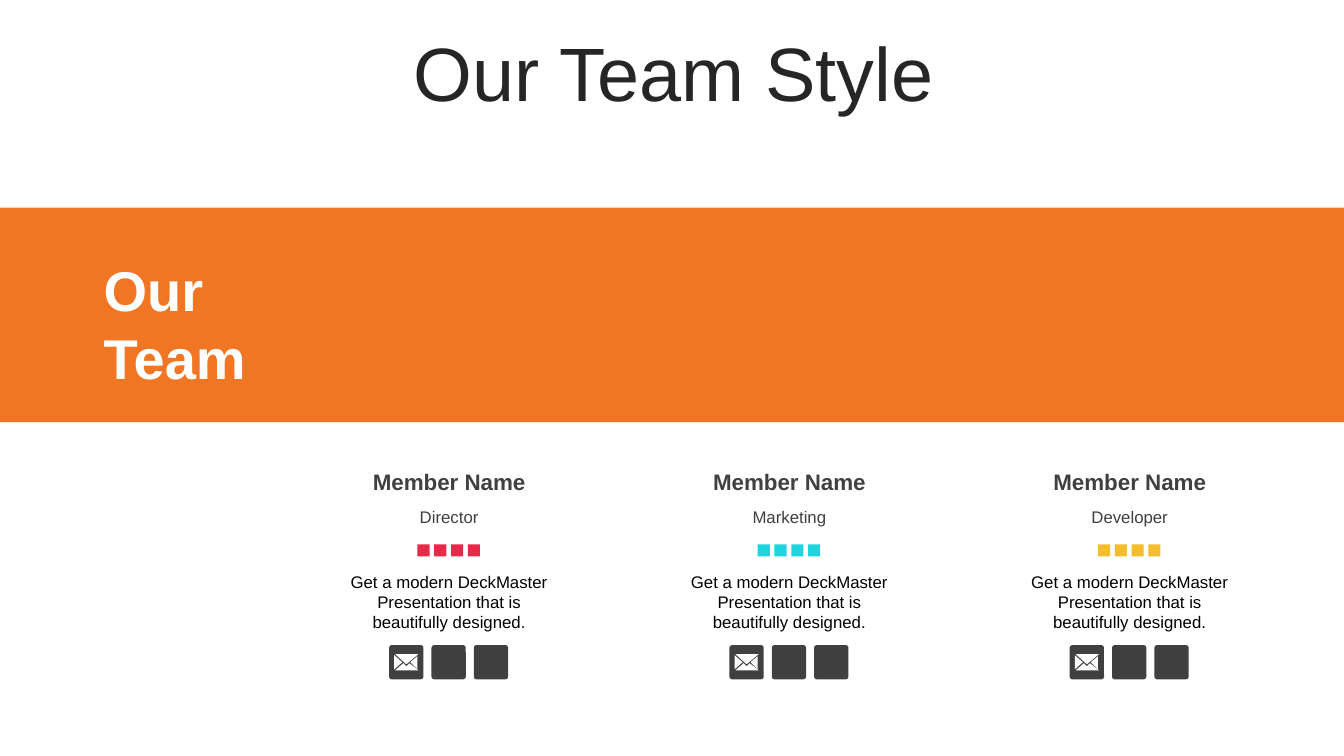
from dataclasses import dataclass

from pptx import Presentation
from pptx.dml.color import RGBColor as Color
from pptx.enum.shapes import MSO_SHAPE as Kind
from pptx.enum.text import MSO_ANCHOR as Anchor, PP_ALIGN as Align
from pptx.util import Inches, Pt


@dataclass(frozen=True)
class Theme:
    font: str = "Arial"
    band: str = "F07624"
    title: str = "262626"
    dark: str = "404040"
    white: str = "FFFFFF"
    black: str = "000000"
    red: str = "E62949"
    cyan: str = "1ED4DE"
    gold: str = "F4BD2D"
    huge: int = 54
    large: int = 40
    name: int = 16
    small: int = 12


theme = Theme()
deck = Presentation()
deck.slide_width, deck.slide_height = Inches(13.33), Inches(7.5)
slide = deck.slides.add_slide(deck.slide_layouts[6])
shapes = slide.shapes


def write(text, x, y, w, h, size=theme.small, color=theme.dark, bold=False,
          align=Align.CENTER, anchor=Anchor.MIDDLE, inset=0.1, spacing=1.0):
    frame = shapes.add_textbox(Inches(x), Inches(y), Inches(w), Inches(h)).text_frame
    frame.word_wrap = True
    frame.vertical_anchor = anchor
    frame.margin_left = frame.margin_right = Inches(inset)
    frame.text = text
    for para in frame.paragraphs:
        para.alignment = align
        para.line_spacing = spacing
        para.font.name = theme.font
        para.font.size = Pt(size)
        para.font.bold = bold
        para.font.color.rgb = Color.from_string(color)


def paint(shape, color):
    shape.shadow.inherit = False
    shape.fill.solid()
    shape.fill.fore_color.rgb = Color.from_string(color)
    shape.line.fill.background()


# Band and headings
band = shapes.add_shape(Kind.RECTANGLE, 0, Inches(2.06), Inches(13.33), Inches(2.13))
paint(band, theme.band)
write("Our Team Style", 0.35, 0.37, 12.66, 0.79,
      size=theme.huge, color=theme.title, spacing=0.9)
write("Our\nTeam", 0.93, 2.22, 2.13, 1.97,
      size=theme.large, color=theme.white, bold=True, align=Align.LEFT)

# Team members, one column each
team = [("Director", theme.red), ("Marketing", theme.cyan), ("Developer", theme.gold)]
wide = 2.13
side, top = 0.34, 6.4

# Envelope flaps, measured from the corner of the tile
flaps = [
    [(0.06, 0.25), (0.14, 0.18), (0.17, 0.21), (0.2, 0.18), (0.29, 0.25)],
    [(0.28, 0.11), (0.21, 0.17), (0.28, 0.24)],
    [(0.05, 0.1), (0.05, 0.24), (0.13, 0.17)],
    [(0.06, 0.09), (0.17, 0.19), (0.29, 0.09)],
]

for col, (role, color) in enumerate(team):
    left = 3.39 + col * 6.75 / 2
    write("Member Name", left, 4.62, wide, 0.31, size=theme.name, bold=True)
    write(role, left, 4.97, wide, 0.31)

    # Row of four squares
    for step in range(4):
        square = shapes.add_shape(Kind.RECTANGLE, Inches(left + 0.75 + step / 6),
                                  Inches(5.4), Inches(0.12), Inches(0.12))
        paint(square, color)

    write("Get a modern DeckMaster Presentation that is beautifully designed.",
          left, 5.62, wide, 0.71, color=theme.black, anchor=Anchor.TOP, inset=0.05)

    # Contact tiles
    start = left + 0.47
    for step in range(3):
        tile = shapes.add_shape(Kind.ROUNDED_RECTANGLE, Inches(start + step * 0.42),
                                Inches(top), Inches(side), Inches(side))
        tile.adjustments[0] = 0.08
        paint(tile, theme.dark)

    # Envelope on the first tile
    for flap in flaps:
        points = [(Inches(start + x), Inches(top + y)) for x, y in flap]
        pen = shapes.build_freeform(*points[0])
        pen.add_line_segments(points[1:], close=True)
        paint(pen.convert_to_shape(), theme.white)

deck.save("out.pptx")
